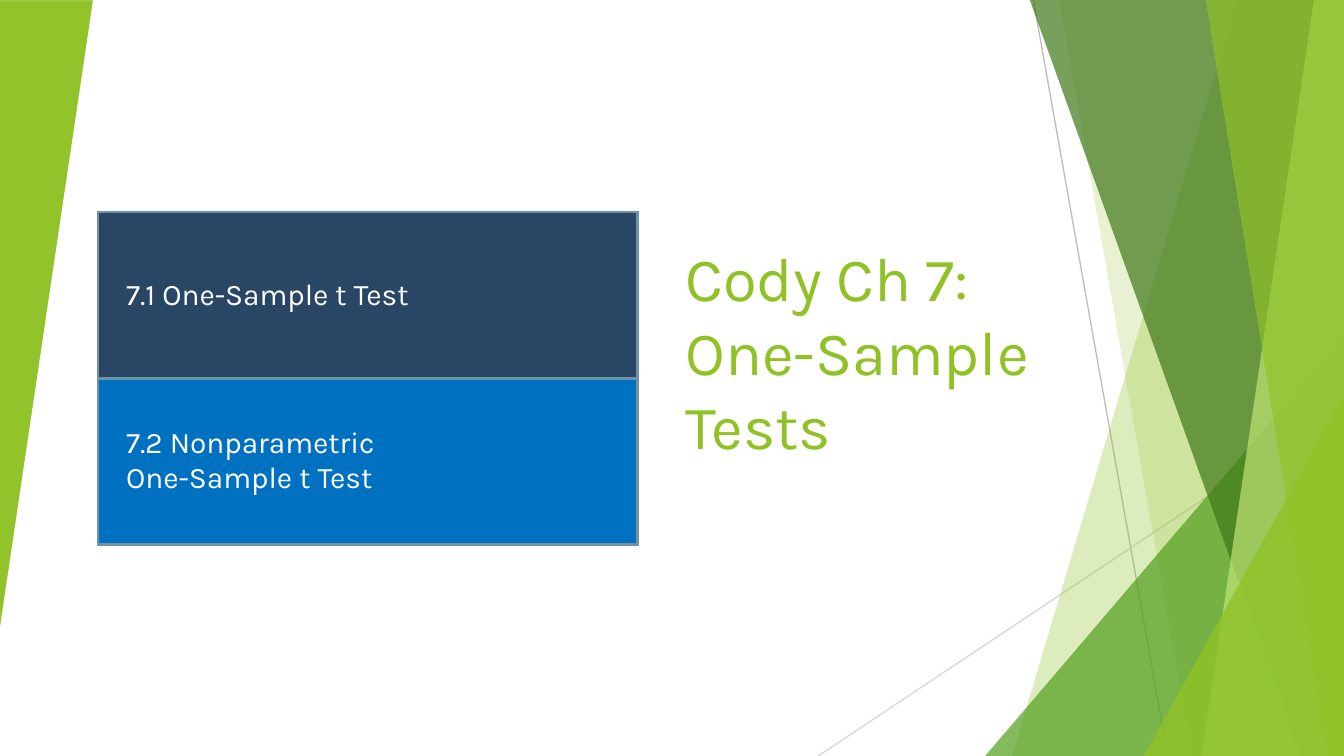
from lxml.etree import SubElement
from pptx import Presentation
from pptx.dml.color import RGBColor
from pptx.enum.shapes import MSO_CONNECTOR, MSO_SHAPE
from pptx.enum.text import MSO_ANCHOR, MSO_AUTO_SIZE, PP_ALIGN
from pptx.oxml.ns import qn
from pptx.util import Pt

WIDE, HIGH = 720, 405
TOP = -0.6
LIME = "90C226"
FONT = "Karla"


def paint(fill, color, alpha=100):
    """Fill with a solid colour; alpha is the opacity in percent."""
    fill.solid()
    fill.fore_color.rgb = RGBColor.from_string(color)
    if alpha < 100:
        node = fill._xPr.find(qn("a:solidFill"))[0]
        SubElement(node, qn("a:alpha")).set("val", str(alpha * 1000))


def finish(shape, color, alpha):
    shape.shadow.inherit = False
    shape.line.fill.background()
    paint(shape.fill, color, alpha)


def add_line(slide, x1, y1, x2, y2, color):
    line = slide.shapes.add_connector(
        MSO_CONNECTOR.STRAIGHT, Pt(x1), Pt(y1), Pt(x2), Pt(y2))
    line.line.width = Pt(0.75)
    paint(line.line.fill, color)
    SubElement(line._element.spPr, qn("a:effectLst"))


def add_band(slide, top, base, color, alpha):
    """Draw a band from a slanted left edge to the slide's right edge."""
    pen = slide.shapes.build_freeform(Pt(top), Pt(TOP))
    ends = [(WIDE, TOP), (WIDE, HIGH), (base, HIGH)]
    pen.add_line_segments([(Pt(x), Pt(y)) for x, y in ends])
    finish(pen.convert_to_shape(), color, alpha)


def add_wedge(slide, x, y, w, h, color, alpha, turn=0):
    wedge = slide.shapes.add_shape(
        MSO_SHAPE.ISOSCELES_TRIANGLE, Pt(x), Pt(y), Pt(w), Pt(h))
    wedge.adjustments[0] = 1
    wedge.rotation = turn
    finish(wedge, color, alpha)


def add_corner(slide, left, top, color, alpha):
    """Draw a wedge that fills the bottom right corner."""
    add_wedge(slide, left, top, WIDE - left, HIGH - top, color, alpha)


def style(frame, size, color):
    for par in frame.paragraphs:
        par.alignment = PP_ALIGN.LEFT
        for run in par.runs:
            run.font.name = FONT
            run.font.size = Pt(size)
            run.font.color.rgb = RGBColor.from_string(color)


def set_title(slide, text):
    title = slide.shapes.title
    title.left, title.top = Pt(360), Pt(74.2)
    title.width, title.height = Pt(206.6), Pt(177)
    frame = title.text_frame
    frame.text = text
    frame.word_wrap = True
    frame.auto_size = MSO_AUTO_SIZE.NONE
    frame.vertical_anchor = MSO_ANCHOR.BOTTOM
    style(frame, 33, LIME)


def edge(cell, color, width):
    props = cell._tc.get_or_add_tcPr()
    for side in ("a:lnL", "a:lnR", "a:lnT", "a:lnB"):
        line = SubElement(props, qn(side), w=str(Pt(width)))
        solid = SubElement(line, qn("a:solidFill"))
        SubElement(solid, qn("a:srgbClr"), val=color)


def add_topics(slide, rows):
    table = slide.shapes.add_table(
        len(rows), 1, Pt(52.6), Pt(113.6), Pt(288.8), Pt(89.1 * len(rows))).table
    table.first_row = table.horz_banding = False
    for index, (text, color) in enumerate(rows):
        cell = table.cell(index, 0)
        cell.text_frame.text = text
        cell.vertical_anchor = MSO_ANCHOR.MIDDLE
        cell.margin_left = cell.margin_right = Pt(15)
        cell.margin_top = cell.margin_bottom = Pt(7.5)
        edge(cell, "7192A6", 1.5)
        paint(cell.fill, color)
        style(cell.text_frame, 16, "FFFFFF")


def main():
    deck = Presentation()
    deck.slide_width, deck.slide_height = Pt(WIDE), Pt(HIGH)
    slide = deck.slides.add_slide(deck.slide_layouts[5])

    add_line(slide, 553.6, 0, 625.6, HIGH, "BFBFBF")
    add_line(slide, WIDE, 217.3, 438.4, HIGH, "D9D9D9")
    add_band(slide, 663, 542.2, LIME, 30)
    add_band(slide, 567.4, 638.6, LIME, 20)
    add_corner(slide, 527.8, 180, "54A021", 72)
    add_band(slide, 551.5, 697, "3F7819", 70)
    add_band(slide, 704, 643.7, "C0E474", 70)
    add_band(slide, 645.8, 711.4, LIME, 65)
    add_corner(slide, 612.7, 211.7, LIME, 80)
    for top in (0, 0.7):
        add_wedge(slide, 0, top, 49.7, 334.8, LIME, 85, 180)

    set_title(slide, "Cody Ch 7: One-Sample Tests")
    add_topics(slide, [
        ("7.1 One-Sample t Test", "294665"),
        ("7.2 Nonparametric\nOne-Sample t Test", "0070C0"),
    ])
    deck.save("out.pptx")


if __name__ == "__main__":
    main()
